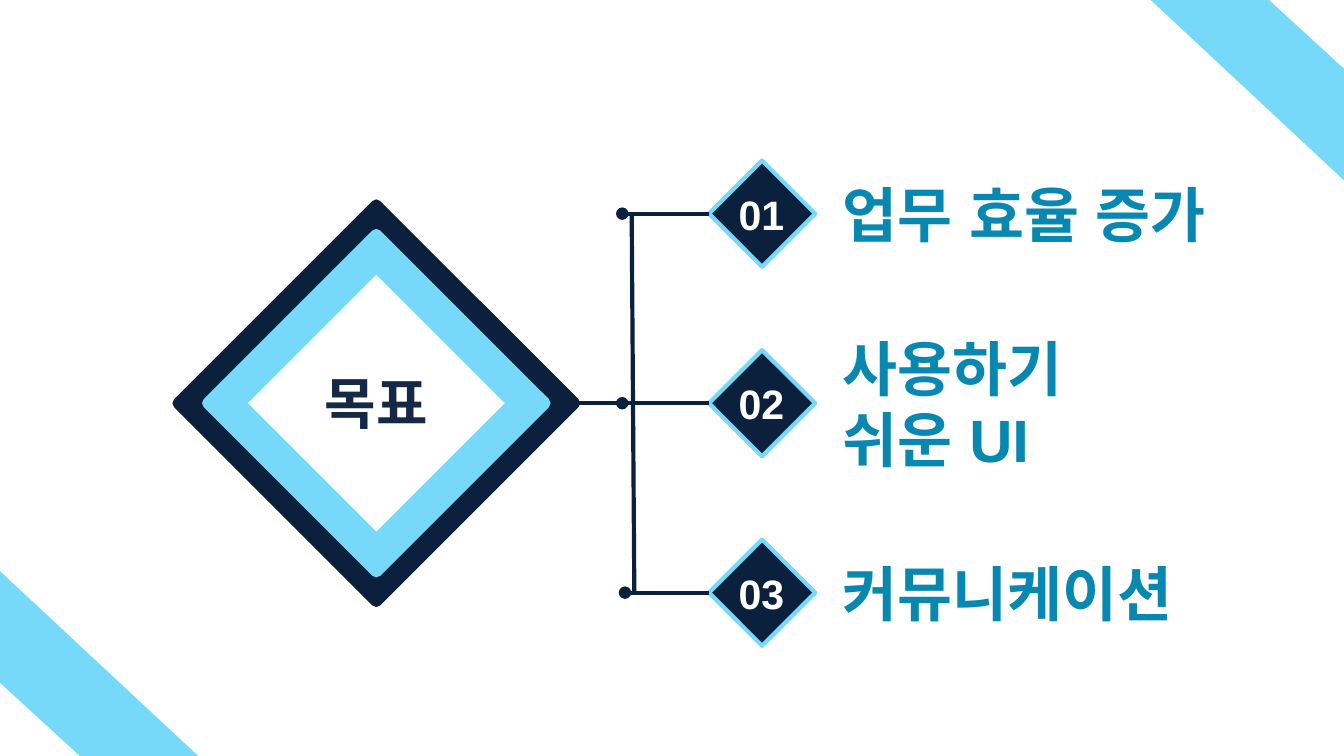
from dataclasses import dataclass
from typing import Any, NamedTuple

from lxml.etree import SubElement
from pptx import Presentation
from pptx.dml.color import RGBColor
from pptx.enum.shapes import MSO_CONNECTOR, MSO_SHAPE
from pptx.enum.text import MSO_ANCHOR, MSO_AUTO_SIZE, PP_ALIGN
from pptx.oxml.ns import qn
from pptx.util import Inches, Pt


@dataclass(frozen=True)
class Theme:
    navy: str = "0B203D"
    sky: str = "77D9F9"
    white: str = "FFFFFF"
    title: str = "152946"
    label: str = "0887B0"
    font: str = "Arial"
    title_size: int = 30
    label_size: int = 32
    number_size: int = 22
    line_width: float = 2.25
    frame_width: float = 6


class Goal(NamedTuple):
    number: str
    text: str
    width: float
    height: float
    dot_x: float


class Ring(NamedTuple):
    size: float
    colour: str
    border: float


class Style(NamedTuple):
    size: int
    colour: str
    align: PP_ALIGN
    wrap: bool = True


THEME = Theme()
GOALS = (
    Goal("01", "업무 효율 증가", 3.27, 0.41, 4.63),
    Goal("02", "사용하기 \v쉬운 UI", 3.83, 0.89, 4.63),
    Goal("03", "커뮤니케이션", 2.98, 0.41, 4.65),
)
RINGS = (
    Ring(2.95, THEME.navy, THEME.frame_width),
    Ring(2.51, THEME.sky, THEME.frame_width),
    Ring(1.91, THEME.white, 0),
)
SLIDE_WIDTH = 10
SLIDE_HEIGHT = SLIDE_WIDTH * 9 / 16
BAND = ((8.54, -0.02), (9.42, -0.02), (10.02, 0.53), (10.02, 1.36))
HUB_X, HUB_Y = 2.8, 3.0
BADGE_X, BADGE_SIZE = 5.67, 0.79
FIRST_ROW, ROW_PITCH = 1.59, 1.41
LABEL_LEFT = 6.17


def apply(target: Any, values: dict[str, Any]) -> None:
    """Set every attribute in the dict on the target."""
    for name, value in values.items():
        setattr(target, name, value)


def paint(shape: Any, fill: str, line: str, width: float) -> None:
    """Give a shape a solid fill and an optional border."""
    shape.shadow.inherit = False
    shape.fill.solid()
    shape.fill.fore_color.rgb = RGBColor.from_string(fill)
    if width:
        shape.line.color.rgb = RGBColor.from_string(line)
        shape.line.width = Pt(width)
    else:
        shape.line.fill.background()


def draw_band(page: Any, points: list[tuple[float, float]]) -> None:
    """Draw a diagonal corner band."""
    builder = page.shapes.build_freeform(
        Inches(points[0][0]), Inches(points[0][1]), scale=1.0)
    builder.add_line_segments([(Inches(x), Inches(y)) for x, y in points[1:]], close=True)
    paint(builder.convert_to_shape(), THEME.sky, THEME.sky, 0)


def draw_diamond(page: Any, x: float, y: float, size: float,
                 fill: str, line: str, width: float) -> Any:
    """Draw a diamond centred on a point."""
    diamond = page.shapes.add_shape(
        MSO_SHAPE.DIAMOND, Inches(x - size / 2), Inches(y - size / 2),
        Inches(size), Inches(size))
    paint(diamond, fill, line, width)
    return diamond


def draw_line(page: Any, start: tuple[float, float], end: tuple[float, float],
              dot: bool = False) -> Any:
    """Draw a straight connector, with a dot at its start on request."""
    line = page.shapes.add_connector(
        MSO_CONNECTOR.STRAIGHT, *(Inches(value) for value in start + end))
    line.line.color.rgb = RGBColor.from_string(THEME.navy)
    line.line.width = Pt(THEME.line_width)
    if dot:
        SubElement(line.line._get_or_add_ln(), qn("a:headEnd"), type="oval")
    SubElement(line._element.spPr, qn("a:effectLst"))
    return line


def write(box: Any, text: str, style: Style) -> None:
    """Fill a box with one formatted paragraph."""
    frame = box.text_frame
    apply(frame, {
        "word_wrap": style.wrap,
        "auto_size": MSO_AUTO_SIZE.NONE,
        "vertical_anchor": MSO_ANCHOR.MIDDLE,
        **{f"margin_{side}": Inches(0.1) for side in ("left", "top", "right", "bottom")},
    })
    para = frame.paragraphs[0]
    para.text = text
    para.alignment = style.align
    for span in para.runs:
        apply(span.font, {"name": THEME.font, "size": Pt(style.size), "bold": True})
        span.font.color.rgb = RGBColor.from_string(style.colour)
        SubElement(span.font._element, qn("a:ea"), typeface=THEME.font)


def add_text(page: Any, left: float, middle: float, width: float, height: float,
             text: str, style: Style) -> None:
    """Add a text box centred vertically on a given height."""
    box = page.shapes.add_textbox(
        Inches(left), Inches(middle - height / 2), Inches(width), Inches(height))
    write(box, text, style)


def draw_hub(page: Any) -> Any:
    """Draw the nested diamonds with the title and return the outer one."""
    rings = [draw_diamond(page, HUB_X, HUB_Y, ring.size, ring.colour, ring.colour, ring.border)
             for ring in RINGS]
    title = page.shapes.title
    apply(title, {"left": Inches(1.21), "top": Inches(2.66),
                  "width": Inches(3.18), "height": Inches(0.67)})
    write(title, "목표", Style(THEME.title_size, THEME.title, PP_ALIGN.CENTER))
    page.shapes._spTree.append(title._element)
    return rings[0]


def draw_goal(page: Any, goal: Goal, y: float) -> None:
    """Draw one numbered goal with its branch line."""
    badge = draw_diamond(page, BADGE_X, y, BADGE_SIZE,
                         THEME.navy, THEME.sky, THEME.line_width)
    branch = draw_line(page, (goal.dot_x, y), (BADGE_X - BADGE_SIZE / 2, y), dot=True)
    branch.end_connect(badge, 1)
    add_text(page, BADGE_X - 0.29, y, 0.57, 0.58, goal.number,
             Style(THEME.number_size, THEME.white, PP_ALIGN.CENTER, wrap=False))
    add_text(page, LABEL_LEFT, y, goal.width, goal.height, goal.text,
             Style(THEME.label_size, THEME.label, PP_ALIGN.LEFT))


def main() -> None:
    """Build the goals slide and save it."""
    deck = Presentation()
    apply(deck, {"slide_width": Inches(SLIDE_WIDTH), "slide_height": Inches(SLIDE_HEIGHT)})
    page = deck.slides.add_slide(deck.slide_layouts[5])
    draw_band(page, list(BAND))
    draw_band(page, [(10.02 - x, 5.61 - y) for x, y in BAND])
    hub = draw_hub(page)
    for row, goal in enumerate(GOALS):
        draw_goal(page, goal, FIRST_ROW + row * ROW_PITCH)
    stem = draw_line(page, (4.28, HUB_Y), (4.78, HUB_Y))
    stem.begin_connect(hub, 3)
    draw_line(page, (4.7, FIRST_ROW), (4.72, FIRST_ROW + 2 * ROW_PITCH))
    deck.save("out.pptx")


if __name__ == "__main__":
    main()
